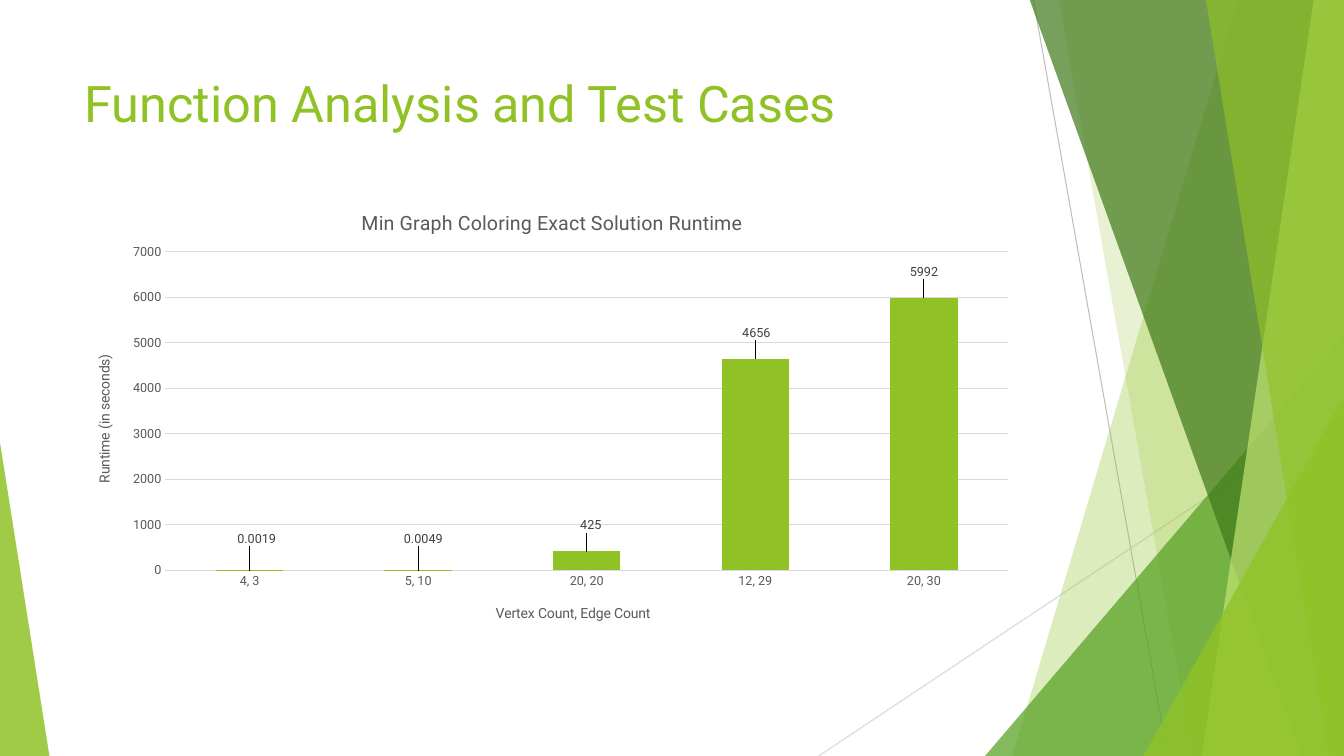
from dataclasses import dataclass

from lxml import etree
from pptx import Presentation
from pptx import util as u
from pptx.chart.data import CategoryChartData
from pptx.dml.color import RGBColor
from pptx.enum import chart as charts, shapes, text
from pptx.oxml import parse_xml
from pptx.oxml.ns import nsdecls, qn

FONT = "Roboto"
GREEN = "90C226"
GREY = "595959"
WIDTH, HEIGHT = 13.33, 7.5
TOP = -0.01


@dataclass
class Ray:
    start: tuple[float, float]
    end: tuple[float, float]
    color: str


@dataclass
class Veil:
    """A band that reaches from a slanted left edge to the right slide edge."""
    top_x: float
    bottom_x: float
    color: str
    opacity: int


@dataclass
class Wedge:
    """A right triangle standing on the bottom slide edge."""
    left: float
    top: float
    width: float
    apex: float
    color: str
    opacity: int


@dataclass
class Bar:
    category: str
    seconds: float
    label_dx: float
    label_dy: float


RAYS = [
    Ray((10.25, 0), (11.58, HEIGHT), "BFBFBF"),
    Ray((WIDTH, 4.03), (8.12, HEIGHT), "D9D9D9"),
]
FACETS = [
    Veil(12.28, 10.04, GREEN, 30),
    Veil(10.5, 11.83, GREEN, 20),
    Wedge(9.77, 3.33, 3.56, 1, "54A021", 72),
    Veil(10.21, 12.91, "3F7819", 70),
    Veil(13.03, 11.92, "C0E474", 70),
    Veil(11.96, 13.18, GREEN, 65),
    Wedge(11.34, 3.93, 1.99, 1, GREEN, 80),
    Wedge(0, 4.39, 0.49, 0, GREEN, 85),
]
# Label offsets are inches from the usual place above the bar.
BARS = [
    Bar("4, 3", 0.0019, 0.07, -0.2),
    Bar("5, 10", 0.0049, 0.05, -0.2),
    Bar("20, 20", 425, 0.04, -0.14),
    Bar("12, 29", 4656, 0.01, -0.14),
    Bar("20, 30", 5992, 0, -0.14),
]
CHART_LEFT, CHART_TOP, CHART_WIDTH, CHART_HEIGHT = 0.69, 1.84, 9.5, 4.5


def rgb(color: str) -> RGBColor:
    return RGBColor.from_string(color)


def style_font(font, size: float, color: str) -> None:
    font.name = FONT
    font.size = u.Pt(size)
    font.bold = False
    font.color.rgb = rgb(color)


def write(frame, words: str, *, size: float, color: str) -> None:
    span = frame.paragraphs[0].add_run()
    span.text = words
    style_font(span.font, size, color)


def draw_ray(page, ray: Ray) -> None:
    line = page.shapes.add_connector(
        shapes.MSO_CONNECTOR.STRAIGHT, *map(u.Inches, ray.start + ray.end))
    line.line.color.rgb = rgb(ray.color)
    line.line.width = u.Pt(0.75)
    etree.SubElement(line._element.spPr, qn("a:effectLst"))


def draw_facet(page, facet: Veil | Wedge) -> None:
    if isinstance(facet, Veil):
        corners = [(facet.top_x, TOP), (WIDTH, TOP), (WIDTH, HEIGHT), (facet.bottom_x, HEIGHT)]
        points = [(u.Inches(x), u.Inches(y)) for x, y in corners]
        outline = page.shapes.build_freeform(*points[0])
        outline.add_line_segments(points[1:])
        shape = outline.convert_to_shape()
    else:
        shape = page.shapes.add_shape(
            shapes.MSO_SHAPE.ISOSCELES_TRIANGLE, u.Inches(facet.left), u.Inches(facet.top),
            u.Inches(facet.width), u.Inches(HEIGHT - facet.top))
        shape.adjustments[0] = facet.apex
    shape.shadow.inherit = False
    shape.line.fill.background()
    shape.fill.solid()
    shape.fill.fore_color.rgb = rgb(facet.color)
    color = shape._element.spPr.find(".//" + qn("a:srgbClr"))
    etree.SubElement(color, qn("a:alpha"), val=str(facet.opacity * 1000))


def layout(dx: float, dy: float, size: tuple[float, float] | None = None):
    """Manual chart layout from inches; with a size it sets the inner plot area."""
    parts = [("xMode", "edge"), ("yMode", "edge")] if size else []
    if size:
        parts.insert(0, ("layoutTarget", "inner"))
    parts += [("x", dx / CHART_WIDTH), ("y", dy / CHART_HEIGHT)]
    if size:
        parts += [("w", size[0] / CHART_WIDTH), ("h", size[1] / CHART_HEIGHT)]
    items = "".join(f'<c:{name} val="{value}"/>' for name, value in parts)
    return parse_xml(f'<c:layout {nsdecls("c")}><c:manualLayout>{items}</c:manualLayout></c:layout>')


def set_title(title, words: str, left: float, top: float, size: float) -> None:
    write(title.text_frame, words, size=size, color=GREY)
    element = title._element
    for old in element.findall(qn("c:layout")):
        element.remove(old)
    place = layout(left - CHART_LEFT, top - CHART_TOP)
    for mode in ("yMode", "xMode"):
        place[0].insert(0, parse_xml(f'<c:{mode} {nsdecls("c")} val="edge"/>'))
    element.find(qn("c:tx")).addnext(place)


def style_axis(axis) -> None:
    axis.major_tick_mark = axis.minor_tick_mark = charts.XL_TICK_MARK.NONE
    axis.format.line.fill.background()
    style_font(axis.tick_labels.font, 9, GREY)


def draw_chart(page) -> None:
    data = CategoryChartData()
    data.categories = [bar.category for bar in BARS]
    data.add_series("Series 1", [bar.seconds for bar in BARS])
    chart = page.shapes.add_chart(
        charts.XL_CHART_TYPE.COLUMN_CLUSTERED,
        *map(u.Inches, (CHART_LEFT, CHART_TOP, CHART_WIDTH, CHART_HEIGHT)), data).chart
    style_font(chart.font, 10, "000000")
    chart.has_legend = False
    set_title(chart.chart_title, "Min Graph Coloring Exact Solution Runtime", 3.55, 2.04, 14)

    categories, values = chart.category_axis, chart.value_axis
    style_axis(categories)
    style_axis(values)
    set_title(categories.axis_title, "Vertex Count, Edge Count", 4.89, 5.97, 10)
    set_title(values.axis_title, "Runtime (in seconds)", 0.92, 3.49, 10)
    values.minimum_scale, values.maximum_scale, values.major_unit = 0, 7000, 1000
    grid = values.major_gridlines.format.line
    grid.color.rgb = rgb("D9D9D9")
    grid.width = u.Pt(0.75)

    plot = chart.plots[0]
    plot.gap_width = 150
    plot.vary_by_categories = False
    area = chart._chartSpace.find(".//" + qn("c:plotArea"))
    for old in area.findall(qn("c:layout")):
        area.remove(old)
    area.insert(0, layout(1.64 - CHART_LEFT, 2.5 - CHART_TOP, (8.36, 3.16)))

    series = plot.series[0]
    series.format.fill.solid()
    series.format.fill.fore_color.rgb = rgb(GREEN)
    series.data_labels.show_value = True
    style_font(series.data_labels.font, 9, "404040")
    for index, bar in enumerate(BARS):
        label = series.points[index].data_label
        style_font(label.font, 9, "404040")
        label.position = charts.XL_LABEL_POSITION.OUTSIDE_END
        element = label._get_or_add_dLbl()
        element.find(qn("c:idx")).addnext(layout(bar.label_dx, bar.label_dy))


def main() -> None:
    deck = Presentation()
    deck.slide_width, deck.slide_height = u.Inches(WIDTH), u.Inches(HEIGHT)
    page = deck.slides.add_slide(deck.slide_layouts[6])
    for ray in RAYS:
        draw_ray(page, ray)
    for facet in FACETS:
        draw_facet(page, facet)
    box = page.shapes.add_textbox(*map(u.Inches, (0.74, 0.67, 9.4, 1.44)))
    box.text_frame.word_wrap = True
    box.text_frame.vertical_anchor = text.MSO_ANCHOR.TOP
    write(box.text_frame, "Function Analysis and Test Cases", size=36, color=GREEN)
    draw_chart(page)
    deck.save("out.pptx")


if __name__ == "__main__":
    main()
